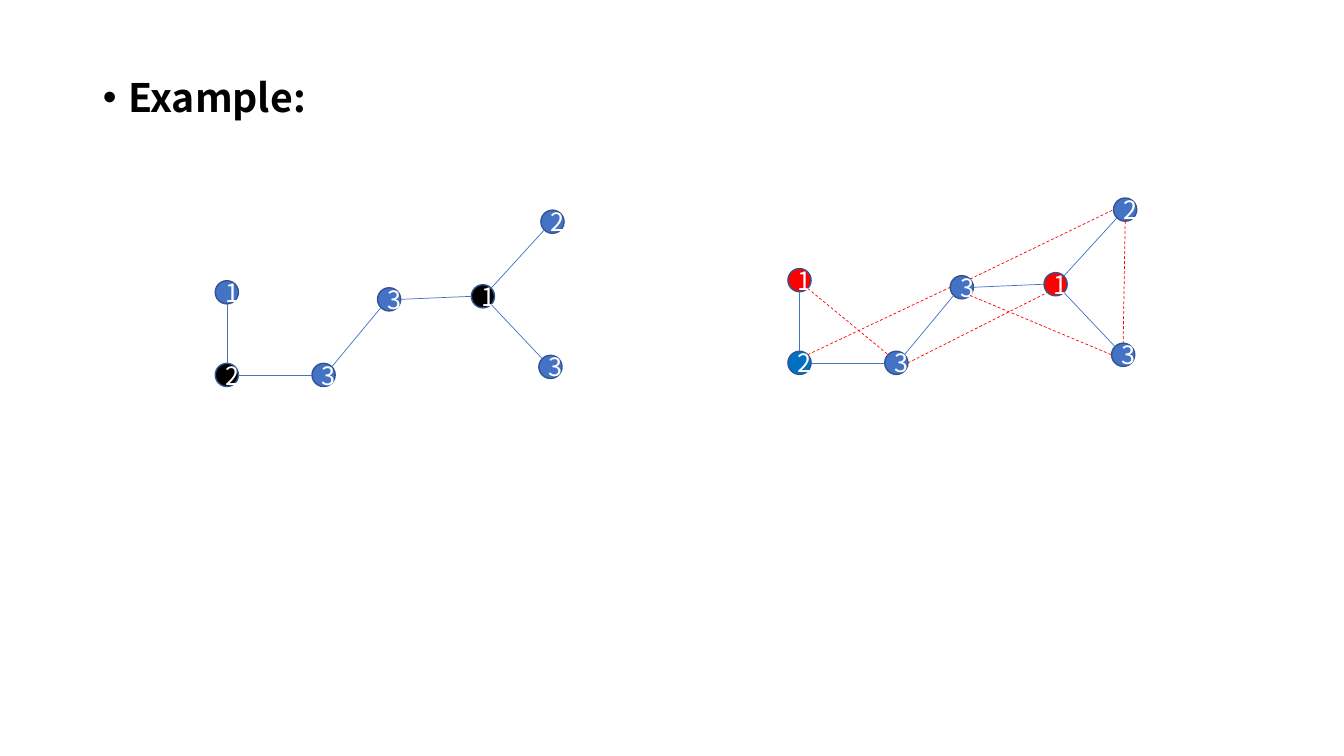
from dataclasses import dataclass
from lxml import etree
from pptx import Presentation
from pptx import util as u
from pptx.dml.color import RGBColor
from pptx.enum import dml, shapes, text
from pptx.oxml.ns import qn


@dataclass(frozen=True)
class Theme:
    font: str = "Noto Sans CJK SC"
    head: int = 28
    label: int = 18
    ink: str = "000000"
    paper: str = "FFFFFF"
    blue: str = "4472C4"
    deep: str = "0070C0"
    rim: str = "325491"
    red: str = "FF0000"
    rim_width: float = 1
    edge_width: float = 0.5
    size: float = 0.23


# Centre of each node in the left graph, with its label
NODES = {
    "a": (2.25, 2.9, "1"),
    "b": (2.25, 3.72, "2"),
    "c": (3.21, 3.72, "3"),
    "d": (3.86, 2.97, "3"),
    "e": (5.48, 2.2, "2"),
    "f": (5.46, 3.64, "3"),
    "g": (4.79, 2.94, "1"),
}
SHIFT = (5.68, -0.12)

# Each edge runs from a compass point of one node to one of another
LINKS = ["a S b N", "b E c W", "c NE d SW", "d E g W", "g NE e SW", "g SE f NW"]
DASHED = ["a SE c NW", "b NE d W", "c E g SW", "d NE e W", "e S f N", "d SE f W"]


def site(node, side):
    """Return the point on a node's rim that faces the given compass side."""
    x, y = node[:2]
    dx = ("E" in side) - ("W" in side)
    dy = ("S" in side) - ("N" in side)
    reach = Theme.size / 2 / (dx * dx + dy * dy) ** 0.5
    return u.Inches(x + dx * reach), u.Inches(y + dy * reach)


class Deck:
    def __init__(self, theme):
        self.theme = theme
        self.prs = Presentation()
        self.prs.slide_width = u.Inches(13.33)
        self.prs.slide_height = u.Inches(7.5)
        self.slide = self.prs.slides.add_slide(self.prs.slide_layouts[1])
        title = self.slide.shapes.title.element
        title.getparent().remove(title)

    def style(self, font, size, color, bold=False):
        font.name = self.theme.font
        font.size = u.Pt(size)
        font.bold = bold
        font.color.rgb = RGBColor.from_string(color)

    def body(self, words):
        box = self.slide.placeholders[1]
        box.left, box.top = u.Inches(0.92), u.Inches(0.73)
        box.width, box.height = u.Inches(11.5), u.Inches(6.02)
        box.text_frame.text = words
        para = box.text_frame.paragraphs[0]
        para.line_spacing = 0.9
        para.space_before = u.Pt(0)
        props = para._p.get_or_add_pPr()
        props.set("marL", str(u.Inches(0.25)))
        props.set("indent", str(u.Inches(-0.25)))
        etree.SubElement(props, qn("a:buFont"), typeface="Arial")
        etree.SubElement(props, qn("a:buChar"), char="•")
        self.style(para.runs[0].font, self.theme.head, self.theme.ink, True)

    def node(self, x, y, label, fill):
        size = self.theme.size
        dot = self.slide.shapes.add_shape(
            shapes.MSO_SHAPE.OVAL, u.Inches(x - size / 2), u.Inches(y - size / 2),
            u.Inches(size), u.Inches(size))
        dot.shadow.inherit = False
        dot.fill.solid()
        dot.fill.fore_color.rgb = RGBColor.from_string(fill)
        dot.line.color.rgb = RGBColor.from_string(self.theme.rim)
        dot.line.width = u.Pt(self.theme.rim_width)
        frame = dot.text_frame
        frame.text = label
        frame.vertical_anchor = text.MSO_ANCHOR.MIDDLE
        para = frame.paragraphs[0]
        para.alignment = text.PP_ALIGN.CENTER
        self.style(para.runs[0].font, self.theme.label, self.theme.paper)

    def edge(self, start, end, color, dash=False):
        line = self.slide.shapes.add_connector(
            shapes.MSO_CONNECTOR.STRAIGHT, *start, *end)
        line.line.color.rgb = RGBColor.from_string(color)
        line.line.width = u.Pt(self.theme.edge_width)
        if dash:
            line.line.dash_style = dml.MSO_LINE.DASH
        etree.SubElement(line._element.spPr, qn("a:effectLst"))

    def graph(self, shift, fills, dashed=()):
        """Draw the nodes, their links and any dashed links, moved by shift."""
        nodes = {key: (x + shift[0], y + shift[1], label)
                 for key, (x, y, label) in NODES.items()}
        for key, node in nodes.items():
            self.node(*node, fills.get(key, self.theme.blue))
        for links, color, dash in ((LINKS, self.theme.blue, False),
                                   (dashed, self.theme.red, True)):
            for link in links:
                one, out, two, into = link.split()
                self.edge(site(nodes[one], out), site(nodes[two], into), color, dash)


def main():
    theme = Theme()
    deck = Deck(theme)
    deck.body("Example:")
    deck.graph((0, 0), {"b": theme.ink, "g": theme.ink})
    deck.graph(SHIFT, {"a": theme.red, "b": theme.deep, "g": theme.red}, DASHED)
    deck.prs.save("out.pptx")


if __name__ == "__main__":
    main()
